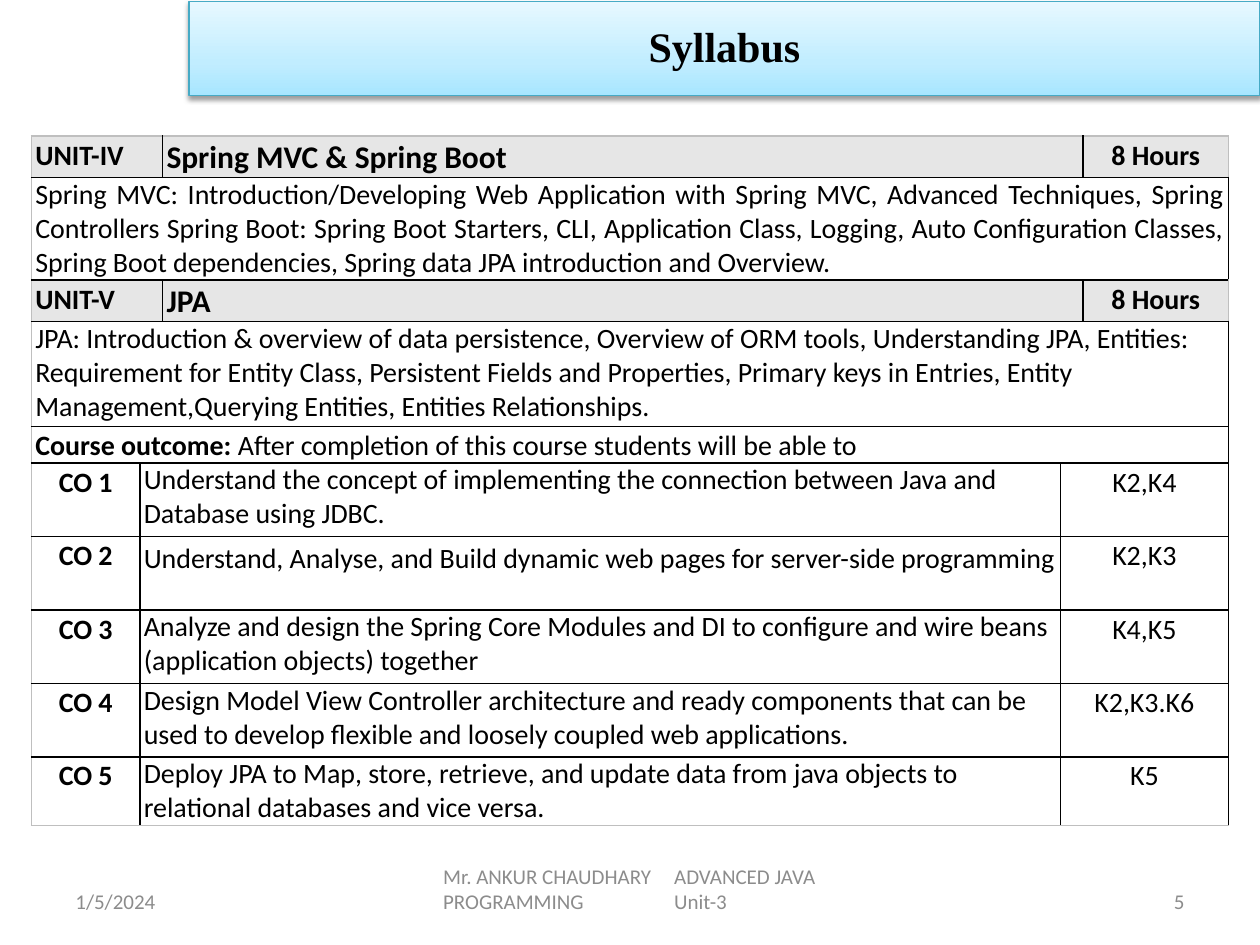
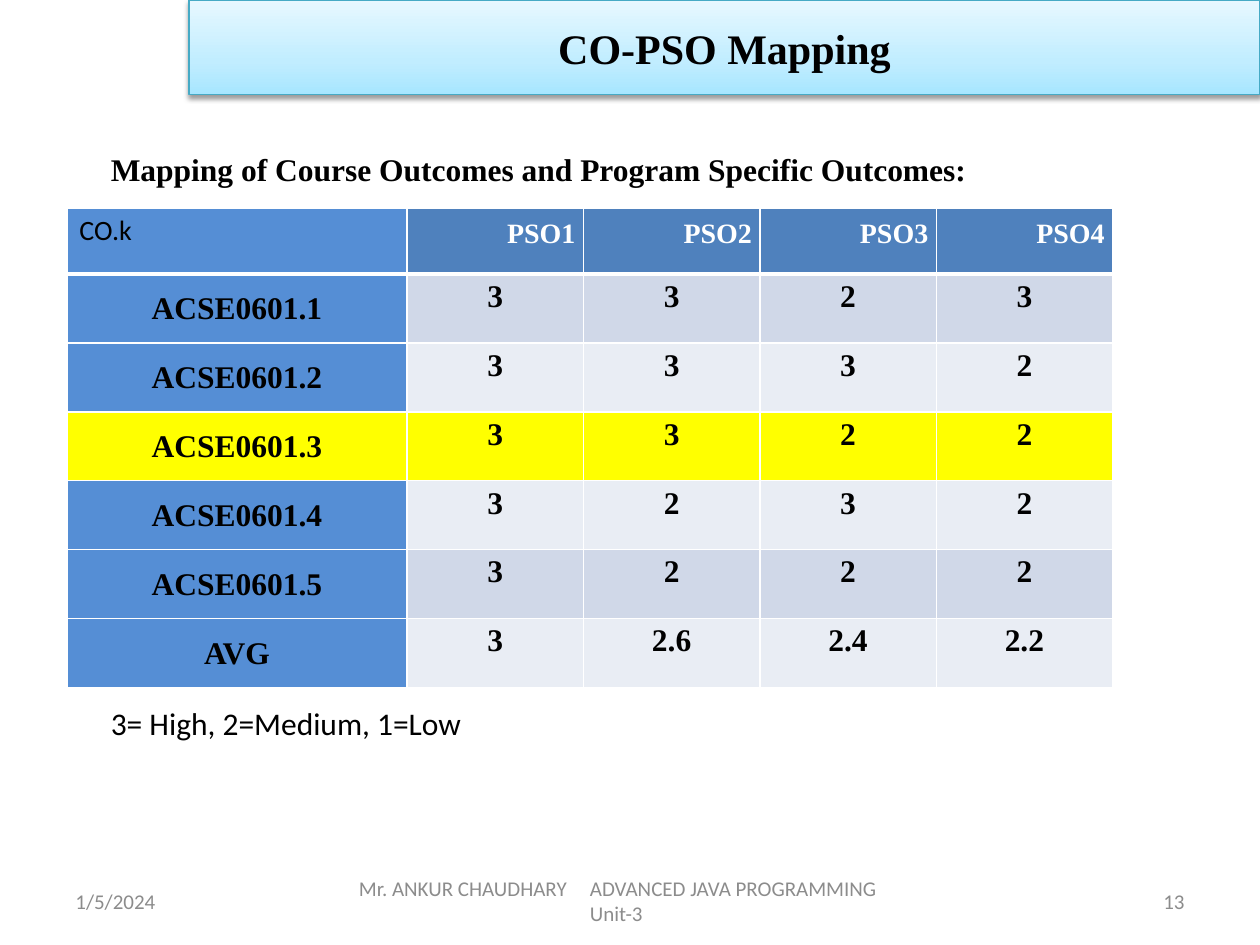
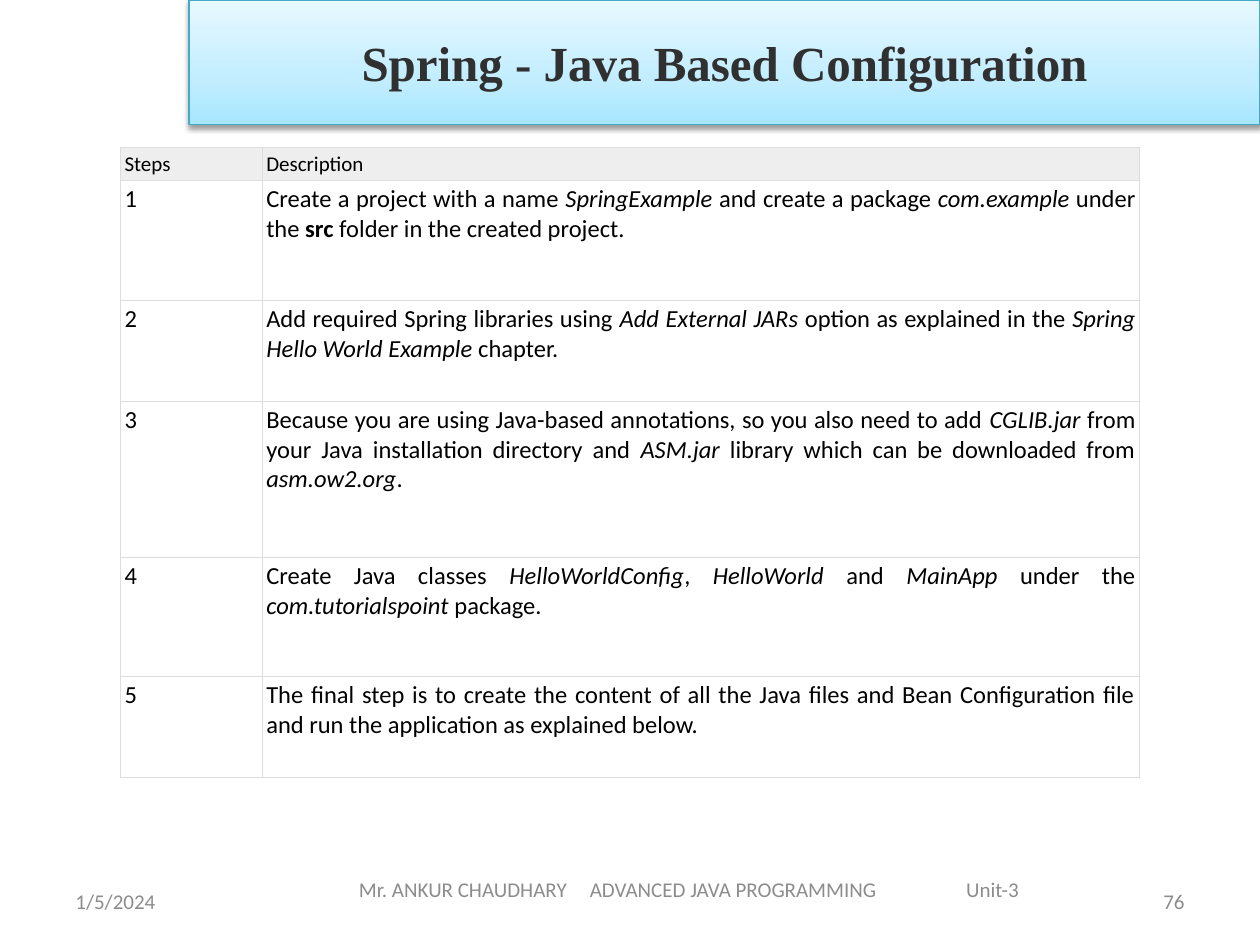
"""Builds three course slides: syllabus, outcome mapping and configuration steps."""
from lxml.etree import SubElement
from pptx import Presentation
from pptx.dml.color import RGBColor
from pptx.enum.text import MSO_ANCHOR as Anchor, MSO_AUTO_SIZE as AutoSize, PP_ALIGN as Align
from pptx.oxml import parse_xml
from pptx.oxml.ns import nsdecls, qn
from pptx.util import Pt

COLORS = {
    "black": "000000", "white": "FFFFFF", "title_dark": "303030", "footer": "8C8C8C",
    "band_low": "A7E6FF", "band_middle": "C1EDFF", "band_high": "E7F8FF", "band_line": "46AAC5",
    "unit": "E6E6E6", "rim": "BFBFBF", "steps_head": "EEEEEE", "steps_line": "DDDDDD",
    "label": "558ED5", "header": "4F81BD", "odd": "D0D8E8", "even": "E9EDF4", "mark": "FFFF00",
}
SERIF = "Times New Roman"
AUTHOR, COURSE, UNIT = "Mr. ANKUR CHAUDHARY", "ADVANCED JAVA PROGRAMMING", "Unit-3"


def rgb(name):
    return RGBColor.from_string(COLORS[name])


def italic(text):
    return text, {"italic": True}


def bold(text):
    return text, {"bold": True}


def write(frame, text, size=16, font="Calibri", color="black", bold=False,
          align=Align.LEFT, spacing=None, after=None, tabs=()):
    lines = [[line] for line in text.split("\n")] if isinstance(text, str) else [text]
    for index, pieces in enumerate(lines):
        para = frame.add_paragraph() if index else frame.paragraphs[0]
        para.alignment = align
        para.line_spacing = spacing
        if after is not None:
            para.space_after = Pt(after)
        if tabs:
            tab_list = SubElement(para._p.get_or_add_pPr(), qn("a:tabLst"))
            for stop in tabs:
                SubElement(tab_list, qn("a:tab"), pos=str(Pt(stop)), algn="l")
        for piece in pieces:
            words, style = (piece, {}) if isinstance(piece, str) else piece
            span = para.add_run()
            span.text = words
            span.font.size, span.font.name = Pt(size), font
            span.font.color.rgb = rgb(color)
            span.font.bold = style.get("bold", bold)
            span.font.italic = style.get("italic", False)


def place(shape, left, top, width, height):
    shape.left, shape.top, shape.width, shape.height = map(Pt, (left, top, width, height))


def add_text(slide, text, left, top, width, height=28.8, anchor=Anchor.MIDDLE, **style):
    box = slide.shapes.add_textbox(Pt(left), Pt(top), Pt(width), Pt(height))
    frame = box.text_frame
    frame.word_wrap = True
    frame.vertical_anchor = anchor
    write(frame, text, **style)
    return frame


def add_band(slide, text, top=0, height=54, **style):
    title = slide.shapes.title
    place(title, 108, top, 612, height)
    stops = "".join(
        f'<a:gs pos="{position}000"><a:srgbClr val="{COLORS[name]}"/></a:gs>'
        for position, name in ((0, "band_low"), (35, "band_middle"), (100, "band_high")))
    properties = title._element.spPr
    properties.append(parse_xml(
        f'<a:gradFill {nsdecls("a")} rotWithShape="1"><a:gsLst>{stops}</a:gsLst>'
        '<a:lin ang="16200000" scaled="0"/></a:gradFill>'))
    title.line.color.rgb = rgb("band_line")
    title.line.width = Pt(0.75)
    properties.append(parse_xml(
        f'<a:effectLst {nsdecls("a")}><a:outerShdw blurRad="{Pt(3.1)}" dist="{Pt(1.6)}" '
        f'dir="5400000" rotWithShape="0"><a:srgbClr val="{COLORS["black"]}">'
        '<a:alpha val="38000"/></a:srgbClr></a:outerShdw></a:effectLst>'))
    frame = title.text_frame
    frame.auto_size = AutoSize.NONE
    frame.word_wrap = True
    frame.vertical_anchor = Anchor.MIDDLE
    write(frame, text, font=SERIF, bold=True, align=Align.CENTER, **style)


def add_footer(slide, number, text, left, width, top=500.4, tabs=(132,)):
    style = {"size": 12, "color": "footer"}
    add_text(slide, "1/5/2024", 36, 500.4, 168, **style)
    frame = add_text(slide, text, left, top, width, tabs=tabs, **style)
    frame.margin_right = 0
    add_text(slide, str(number), 516, 500.4, 168, align=Align.RIGHT, **style)


def set_border(cell, side, color, width):
    line = SubElement(cell._tc.get_or_add_tcPr(), qn(f"a:ln{side}"), w=str(Pt(width)))
    fill = SubElement(line, qn("a:solidFill"))
    SubElement(fill, qn("a:srgbClr"), val=COLORS[color])


def set_margins(cell, left, top, right, bottom):
    cell.margin_left, cell.margin_top = Pt(left), Pt(top)
    cell.margin_right, cell.margin_bottom = Pt(right), Pt(bottom)


def add_grid(slide, left, top, widths, heights, line, rim, width=1, head_width=None,
             margins=(2.2, 0, 2.2, 0)):
    frame = slide.shapes.add_table(len(heights), len(widths), Pt(left), Pt(top),
                                   Pt(sum(widths)), Pt(sum(heights)))
    table = frame.table
    table.first_row = table.horz_banding = False
    for column, size in zip(table.columns, widths):
        column.width = Pt(size)
    last_row, last_column = len(heights) - 1, len(widths) - 1
    for row, size in enumerate(heights):
        table.rows[row].height = Pt(size)
        for column in range(len(widths)):
            cell = table.cell(row, column)
            outer = {"L": column == 0, "R": column == last_column,
                     "T": row == 0, "B": row == last_row}
            head_side = {0: "B", 1: "T"}.get(row)
            for side, is_rim in outer.items():
                thick = head_width if head_width and side == head_side else width
                set_border(cell, side, rim if is_rim else line, thick)
            set_margins(cell, *margins)
            cell.fill.solid()
            cell.fill.fore_color.rgb = rgb("white")
    return table


def fill_cell(table, row, column, text, fill="white", across=1, margins=None, **style):
    cell = table.cell(row, column)
    if across > 1:
        cell.merge(table.cell(row, column + across - 1))
    cell.fill.fore_color.rgb = rgb(fill)
    if margins:
        set_margins(cell, *margins)
    write(cell.text_frame, text, **style)


def build_syllabus(slide):
    add_band(slide, "Syllabus", top=0.7, size=24, spacing=0.9, after=4.5)
    table = add_grid(slide, 18, 77.8, [62, 13, 513, 13, 83],
                     [23.4, 58.8, 23.4, 60, 20.6, 42, 42, 42, 42, 39.2], "black", "rim")
    units = [
        ("UNIT-IV", "Spring MVC & Spring Boot", Align.JUSTIFY,
         "Spring MVC: Introduction/Developing Web Application with Spring MVC, Advanced "
         "Techniques, Spring Controllers Spring Boot: Spring Boot Starters, CLI, Application "
         "Class, Logging, Auto Configuration Classes, Spring Boot dependencies, Spring data JPA "
         "introduction and Overview."),
        ("UNIT-V", "JPA", Align.LEFT,
         "JPA: Introduction & overview of data persistence, Overview of ORM tools, Understanding "
         "JPA, Entities: Requirement for Entity Class, Persistent Fields and Properties, Primary "
         "keys in Entries, Entity Management,Querying Entities, Entities Relationships."),
    ]
    head = {"fill": "unit", "bold": True, "spacing": 1.07}
    for index, (unit, topic, align, content) in enumerate(units):
        row = 2 * index
        fill_cell(table, row, 0, unit, across=2, **head)
        fill_cell(table, row, 2, topic, across=2, size=18, **head)
        fill_cell(table, row, 4, "8 Hours", align=Align.CENTER, **head)
        fill_cell(table, row + 1, 0, content, across=5, align=align)
    fill_cell(table, 4, 0, [bold("Course outcome: "),
                            "After completion of this course students will be able to"],
              across=5, align=Align.JUSTIFY, spacing=1.07)
    outcomes = [
        ("Understand the concept of implementing the connection between Java and Database "
         "using JDBC.", "K2,K4", {}),
        ("Understand, Analyse, and Build dynamic web pages for server-side programming",
         "K2,K3", {"align": Align.JUSTIFY, "spacing": 1.15}),
        ("Analyze and design the Spring Core Modules and DI to configure and wire beans\n"
         "(application objects) together", "K4,K5", {}),
        ("Design Model View Controller architecture and ready components that can be used to "
         "develop flexible and loosely coupled web applications.", "K2,K3.K6", {}),
        ("Deploy JPA to Map, store, retrieve, and update data from java objects to relational "
         "databases and vice versa.", "K5", {}),
    ]
    centred = {"align": Align.CENTER, "spacing": 1.07}
    for number, (outcome, level, style) in enumerate(outcomes, 1):
        fill_cell(table, number + 4, 0, f"CO {number}", bold=True, **centred)
        fill_cell(table, number + 4, 1, outcome, across=2, **style)
        fill_cell(table, number + 4, 3, level, across=2, **centred)
    add_footer(slide, 5, f"{AUTHOR}\t{COURSE}\t{UNIT}", 246.2, 228.2, top=493.6)


def build_mapping(slide):
    add_band(slide, "CO-PSO Mapping", size=24)
    add_text(slide, "Mapping of Course Outcomes and Program Specific Outcomes:",
             56.2, 82.1, 630, size=18, font=SERIF, bold=True)
    add_text(slide, "3= High, 2=Medium, 1=Low", 56.2, 398.9, 362, anchor=Anchor.TOP, size=18)
    table = add_grid(slide, 38.2, 118.8, [194.4] + [100.8] * 4, [37.8] + [39.4] * 6,
                     "white", "white", head_width=3, margins=(5, 0, 5, 0))
    fill_cell(table, 0, 0, "CO.k", fill="label", margins=(7.2, 3.6, 7.2, 3.6))
    for column in range(1, 5):
        fill_cell(table, 0, column, f"PSO{column}", fill="header", margins=(0, 6, 4.6, 0),
                  font=SERIF, color="white", bold=True, align=Align.RIGHT)
    scores = [
        ("ACSE0601.1", "3", "3", "2", "3"),
        ("ACSE0601.2", "3", "3", "3", "2"),
        ("ACSE0601.3", "3", "3", "2", "2"),
        ("ACSE0601.4", "3", "2", "3", "2"),
        ("ACSE0601.5", "3", "2", "2", "2"),
        ("AVG", "3", "2.6", "2.4", "2.2"),
    ]
    style = {"size": 18, "font": SERIF, "bold": True, "align": Align.CENTER, "spacing": 1.15}
    for row, (label, *values) in enumerate(scores, 1):
        marked = label == "ACSE0601.3"
        fill_cell(table, row, 0, label, fill="mark" if marked else "label",
                  margins=(5, 7.2, 5, 7.2), **style)
        shade = "mark" if marked else "odd" if row % 2 else "even"
        for column, value in enumerate(values, 1):
            fill_cell(table, row, column, value, fill=shade, **style)
    add_footer(slide, 13, f"{AUTHOR}\t{COURSE}\n\t{UNIT}", 198, 329.8)


def build_steps(slide):
    add_band(slide, "Spring - Java Based Configuration", height=71.3, size=28,
             color="title_dark")
    table = add_grid(slide, 69, 84.2, [81, 501], [19, 68.4, 57.6, 89.2, 68.2, 57.6],
                     "steps_line", "steps_line", width=0.6, margins=(2.2, 2.2, 2.2, 2.2))
    for column, heading in enumerate(("Steps", "Description")):
        fill_cell(table, 0, column, heading, fill="steps_head", size=12)
    steps = [
        ["Create a project with a name ", italic("SpringExample"), " and create a package ",
         italic("com.example "), "under the ", bold("src"), " folder in the created project."],
        ["Add required Spring libraries using ", italic("Add External JARs"),
         " option as explained in the ", italic("Spring Hello World Example"), " chapter."],
        ["Because you are using Java-based annotations, so you also need to add ",
         italic("CGLIB.jar"), " from your Java installation directory and ",
         italic("ASM.jar"), " library which can be downloaded from ",
         italic("asm.ow2.org"), "."],
        ["Create Java classes ", italic("HelloWorldConfig"), ", ", italic("HelloWorld"),
         " and ", italic("MainApp"), " under the ", italic("com.tutorialspoint"),
         " package."],
        ["The final step is to create the content of all the Java files and Bean Configuration "
         "file and run the application as explained below."],
    ]
    for number, description in enumerate(steps, 1):
        fill_cell(table, number, 0, str(number), size=14, align=Align.JUSTIFY)
        fill_cell(table, number, 1, description, size=14, align=Align.JUSTIFY)
    add_footer(slide, 76, f"{AUTHOR}\t{COURSE}\t{UNIT}", 198, 396, top=493.6, tabs=(132, 347))


def main():
    deck = Presentation()
    deck.slide_width, deck.slide_height = Pt(720), Pt(540)
    for build in (build_syllabus, build_mapping, build_steps):
        build(deck.slides.add_slide(deck.slide_layouts[5]))
    deck.save("out.pptx")


if __name__ == "__main__":
    main()
